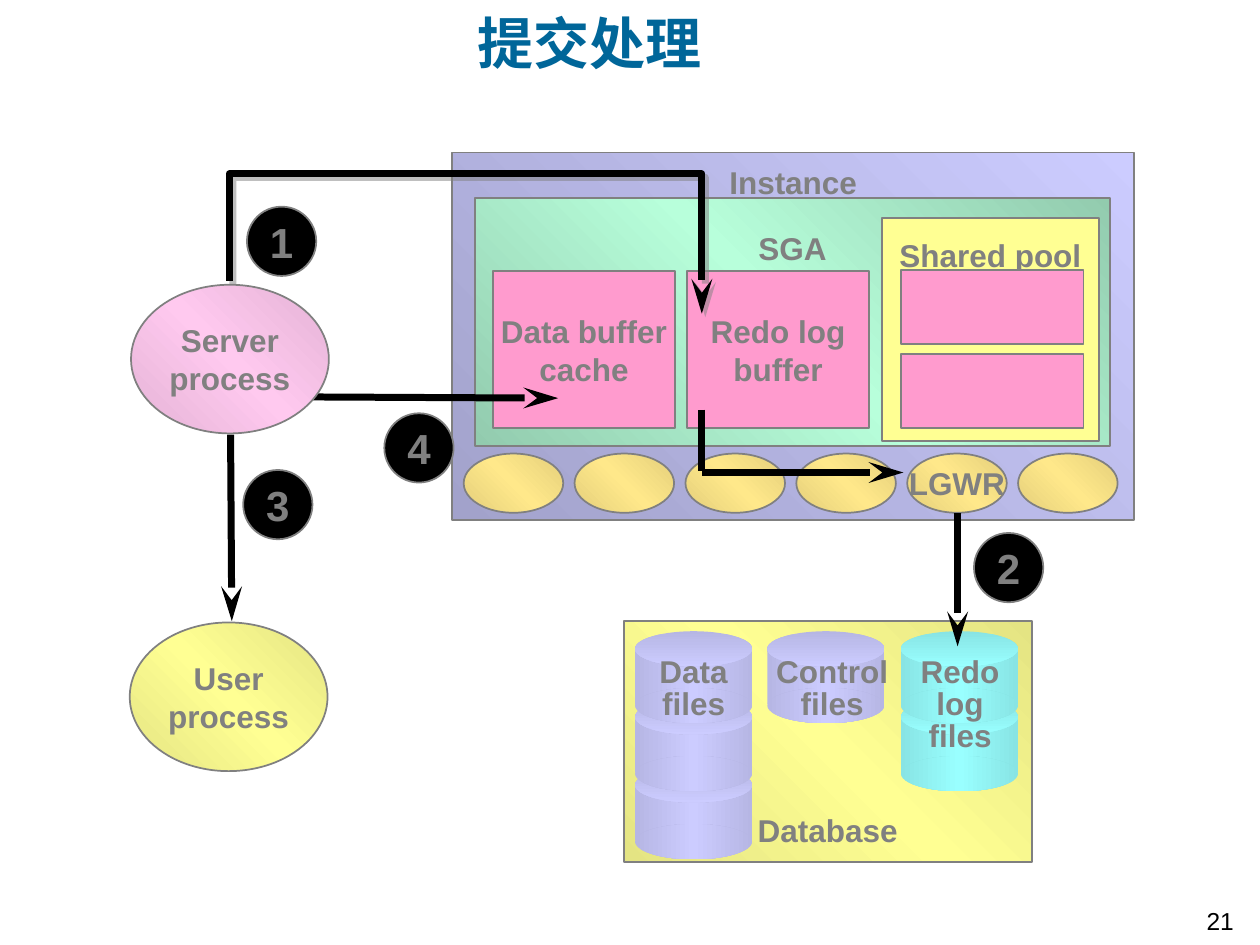
from lxml import etree
from pptx import Presentation
from pptx.dml.color import RGBColor
from pptx.enum.shapes import MSO_CONNECTOR, MSO_SHAPE
from pptx.enum.text import MSO_ANCHOR, PP_ALIGN
from pptx.oxml.ns import qn
from pptx.util import Inches, Pt

RECT, OVAL = MSO_SHAPE.RECTANGLE, MSO_SHAPE.OVAL
STRAIGHT = MSO_CONNECTOR.STRAIGHT
TOP, MIDDLE = MSO_ANCHOR.TOP, MSO_ANCHOR.MIDDLE
LEFT, CENTER = PP_ALIGN.LEFT, PP_ALIGN.CENTER

GRAY, BLACK, PINK, YELLOW = "808080", "000000", "FF9BCE", "FFFF93"
YELLOW_SHADES = ("E4E483", YELLOW, "E4E483")
ROSE_SHADES = ("E4B3D5", "FFC9EF", "E4B3D5")
GOLD_SHADES = ("E4CF7B", "FFE88A", "E4CF7B")
GREEN_SHADES = ("92CBAE", "B8FFDB", "92CBAE")
INSTANCE_SHADES = ("CCCCFF", "A2A2CB")
LILAC, CYAN = ("B6B6E4", "CCCCFF"), ("88E4E4", "99FFFF")


def rgb(color):
    return RGBColor.from_string(color)


def fill_gradient(shape, colors, angle):
    """Spread the colours evenly, with the angle in degrees clockwise."""
    shape.fill.gradient()
    shape.fill.gradient_angle = 360 - angle
    stops = shape._element.spPr.find(qn("a:gradFill")).find(qn("a:gsLst"))
    for stop in list(stops):
        stops.remove(stop)
    for index, color in enumerate(colors):
        position = str(index * 100000 // (len(colors) - 1))
        stop = etree.SubElement(stops, qn("a:gs"), pos=position)
        etree.SubElement(stop, qn("a:srgbClr"), val=color)


def write_text(box, text, size=18, color=GRAY, bold=True, align=CENTER,
               anchor=MIDDLE, wrap=False, spacing=None,
               margins=(0.1, 0.05, 0.1, 0.05)):
    """Margins run left, top, right, bottom."""
    frame = box.text_frame
    frame.word_wrap = wrap
    frame.vertical_anchor = anchor
    (frame.margin_left, frame.margin_top,
     frame.margin_right, frame.margin_bottom) = map(Inches, margins)
    para = frame.paragraphs[0]
    para.text = text
    para.alignment = align
    para.line_spacing = spacing
    for span in para.runs:
        span.font.name = "Arial"
        span.font.size = Pt(size)
        span.font.bold = bold
        span.font.color.rgb = rgb(color)


def add_figure(page, kind, place, fill, angle=135, outlined=True):
    shape = page.shapes.add_shape(kind, *map(Inches, place))
    shape.shadow.inherit = False
    if isinstance(fill, str):
        shape.fill.solid()
        shape.fill.fore_color.rgb = rgb(fill)
    else:
        fill_gradient(shape, fill, angle)
    if outlined:
        shape.line.color.rgb = rgb(GRAY)
        shape.line.width = Pt(1)
    else:
        shape.line.fill.background()
    return shape


def add_panel(page, place, fill, title, title_top):
    panel = add_figure(page, RECT, place, fill)
    write_text(panel, title, anchor=TOP, margins=(0.1, title_top, 0.1, 0.05))


def add_labelled(page, kind, place, fill, text):
    write_text(add_figure(page, kind, place, fill), text)


def add_step(page, left, top, number):
    circle = add_figure(page, OVAL, (left, top, 0.55, 0.55), BLACK)
    write_text(circle, number, size=24)


def add_text_box(page, place, text, **style):
    write_text(page.shapes.add_textbox(*map(Inches, place)), text, **style)


def add_cylinder(page, left, top, shades):
    dark, light = shades
    sides = (dark, light, dark)
    for kind, offset, height, colors, angle in (
            (RECT, 0.15, 0.43, sides, 180),
            (OVAL, 0, 0.28, shades, 90),
            (OVAL, 0.45, 0.28, sides, 180)):
        add_figure(page, kind, (left, top + offset, 0.93, height),
                   colors, angle, outlined=False)


def add_cylinder_stack(page, left, count, shades):
    for level in reversed(range(count)):
        add_cylinder(page, left, 5.01 + 0.54 * level, shades)


def style_stroke(line, arrow=True):
    line.color.rgb = rgb(BLACK)
    line.width = Pt(4)
    if arrow:
        etree.SubElement(line._get_or_add_ln(), qn("a:tailEnd"),
                         type="stealth", w="med", len="lg")


def add_line(page, start, end, arrow=True):
    line = page.shapes.add_connector(STRAIGHT, *map(Inches, start + end))
    style_stroke(line.line, arrow)
    etree.SubElement(line._element.spPr, qn("a:effectLst"))


def add_bent_arrow(page, points):
    corners = [(Inches(x), Inches(y)) for x, y in points]
    builder = page.shapes.build_freeform(*corners[0])
    builder.add_line_segments(corners[1:], close=False)
    arrow = builder.convert_to_shape()
    arrow.fill.background()
    style_stroke(arrow.line)
    arrow.shadow.inherit = False
    effects = arrow._element.spPr.find(qn("a:effectLst"))
    shadow = etree.SubElement(effects, qn("a:outerShdw"), blurRad="0",
                              dist=str(Pt(2.8)), dir=str(45 * 60000))
    color = etree.SubElement(shadow, qn("a:srgbClr"), val=GRAY)
    etree.SubElement(color, qn("a:alpha"), val="50000")


def add_instance(page):
    add_panel(page, (3.59, 1.21, 5.41, 2.92), INSTANCE_SHADES, "Instance", 0.08)
    for index, name in enumerate(("", "", "", "", "LGWR", "")):
        place = (3.68 + 0.88 * index, 3.6, 0.79, 0.47)
        if name:
            add_labelled(page, OVAL, place, GOLD_SHADES, name)
        else:
            add_figure(page, OVAL, place, GOLD_SHADES)
    add_panel(page, (3.77, 1.57, 5.04, 1.97), GREEN_SHADES, "SGA", 0.25)
    for left, name in ((3.91, "Data buffer\ncache"), (5.45, "Redo log\nbuffer")):
        add_labelled(page, RECT, (left, 2.15, 1.45, 1.25), PINK, name)
    add_panel(page, (7, 1.73, 1.72, 1.77), YELLOW, "Shared pool", 0.14)
    for top in (2.14, 2.81):
        add_figure(page, RECT, (7.15, top, 1.45, 0.59), PINK)


def add_database(page):
    add_panel(page, (4.95, 4.93, 3.24, 1.91), YELLOW_SHADES, "Database", 1.51)
    for left, count, shades in ((5.04, 3, LILAC), (6.09, 1, LILAC), (7.15, 2, CYAN)):
        add_cylinder_stack(page, left, count, shades)
    for place, name, wrap in (
            ((6.01, 5.16, 1.19, 0.63), "Control\nfiles", False),
            ((5.07, 5.16, 0.87, 0.63), "Data files", True),
            ((7.12, 5.16, 1, 0.88), "Redo log\nfiles", True)):
        add_text_box(page, place, name, anchor=TOP, wrap=wrap, spacing=0.85,
                     margins=(0.11, 0.06, 0.11, 0.06))


def main():
    deck = Presentation()
    deck.slide_width, deck.slide_height = Inches(10), Inches(7.5)
    page = deck.slides.add_slide(deck.slide_layouts[6])

    add_text_box(page, (1.5, 0.25, 8.5, 0.67), "提交处理", size=32, color="006699",
                 align=LEFT, wrap=True, margins=(2.29, 0, 0.1, 0.5))
    add_text_box(page, (9.37, 7.14, 0.63, 0.34), "21", size=14, color=BLACK,
                 bold=False, anchor=TOP)

    add_instance(page)
    add_database(page)

    add_bent_arrow(page, ((1.82, 2.23), (1.82, 1.38), (5.57, 1.38), (5.57, 2.49)))
    add_line(page, (1.83, 3.45), (1.84, 4.93))
    add_line(page, (2.41, 3.15), (4.43, 3.16))
    add_line(page, (5.57, 3.25), (5.57, 3.74), arrow=False)
    add_line(page, (5.57, 3.75), (7.17, 3.75))
    add_line(page, (7.6, 4.07), (7.6, 5.13))

    add_labelled(page, OVAL, (1.03, 4.94, 1.57, 1.18), YELLOW_SHADES, "User\nprocess")
    add_labelled(page, OVAL, (1.04, 2.26, 1.57, 1.18), ROSE_SHADES, "Server\nprocess")
    steps = ((1.96, 1.64), (7.73, 4.23), (1.93, 3.73), (3.05, 3.28))
    for number, (left, top) in enumerate(steps, start=1):
        add_step(page, left, top, str(number))

    deck.save("out.pptx")


if __name__ == "__main__":
    main()
